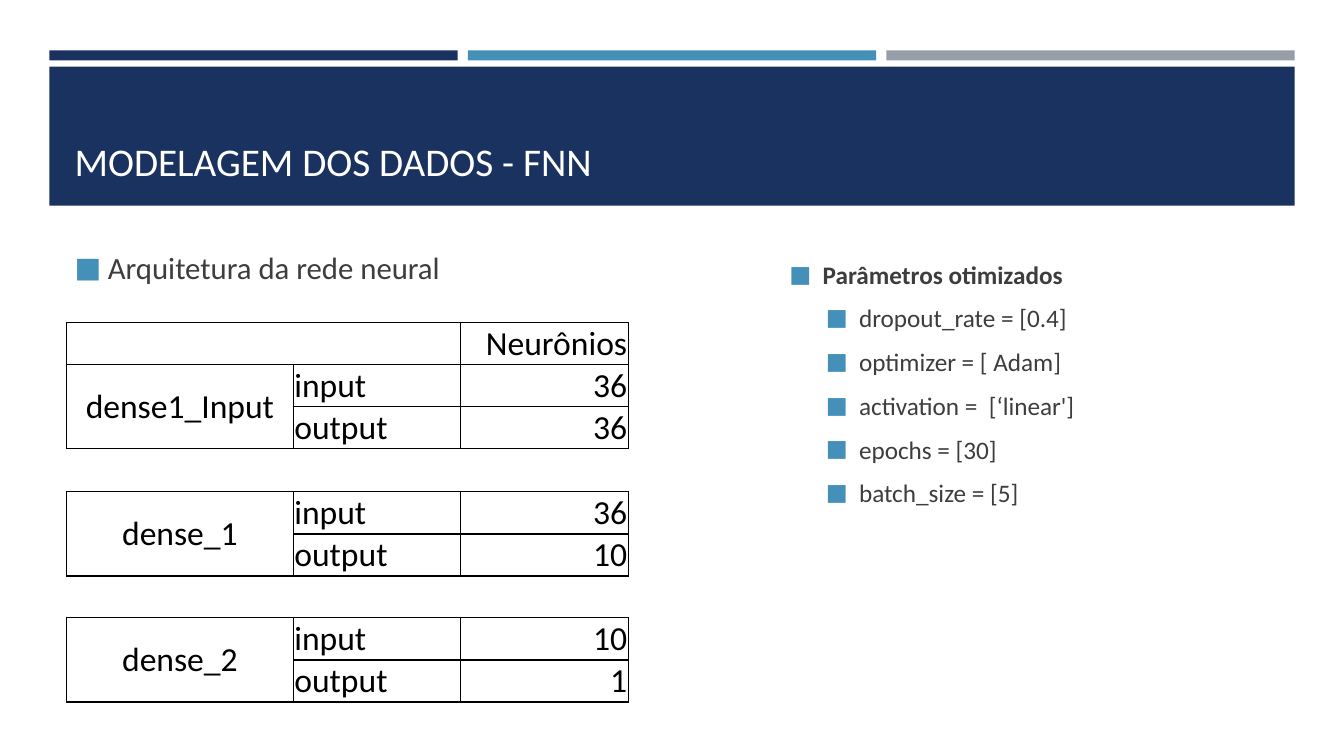
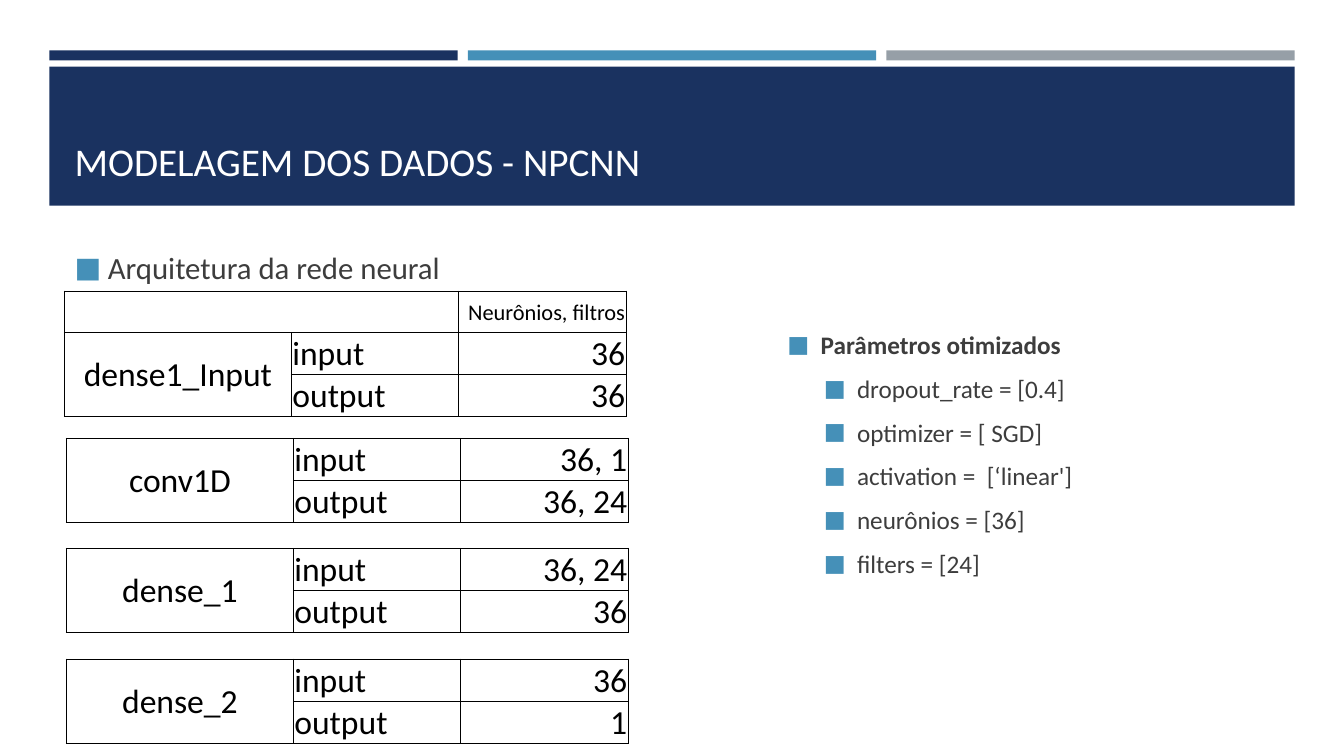
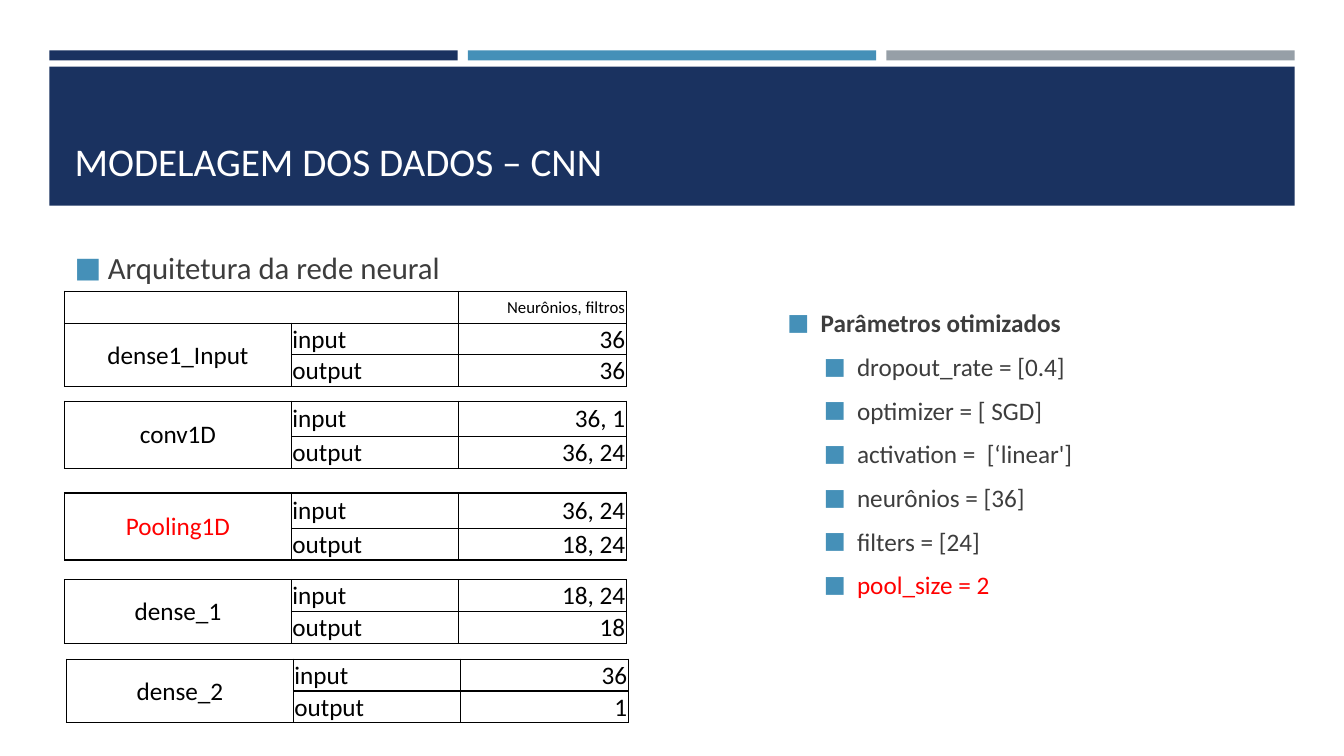
from lxml.etree import SubElement
from pptx import Presentation
from pptx.dml.color import RGBColor
from pptx.enum.shapes import MSO_SHAPE
from pptx.enum.text import MSO_ANCHOR, MSO_AUTO_SIZE, PP_ALIGN
from pptx.oxml.ns import qn
from pptx.util import Inches, Pt

FONT = "Calibri"
COLORS = {
    "navy": "1A3260",
    "blue": "4590B8",
    "gray": "969FA7",
    "white": "FFFFFF",
    "black": "000000",
    "text": "3D3D3D",
    "red": "FF0000",
}
BAND_COLORS = ("navy", "blue", "gray")
BAND_LEFT, BAND_WIDTH, BAND_STEP = 0.49, 4.05, 4.15
COLUMN_WIDTHS = (2.25, 1.66, 1.66)
ROW_HEIGHTS = {24: 0.41, 18: 0.31}
BULLET_INDENTS = (0.33, 0.69)
PLACEHOLDER_BOXES = {
    0: ((0.64, 0.8, 12.06, 1.08), MSO_ANCHOR.BOTTOM),
    1: ((0.64, 2.29, 5.93, 0.73), MSO_ANCHOR.MIDDLE),
    2: ((7.71, 3.13, 5.6, 3.7), MSO_ANCHOR.TOP),
}
SUBTITLE = "Arquitetura da rede neural"
PARAMETERS_HEADING = "Parâmetros otimizados"
HIGHLIGHTS = ("Pooling1D", "pool_size = 2")

SLIDES = [
    {
        "title": "MODELAGEM DOS DADOS - FNN",
        "size": 24,
        "header": ("Neurônios", 24),
        "layers": [
            ("dense1_Input", "36", "36", 0.66, 3.2),
            ("dense_1", "36", "10", 0.66, 4.88),
            ("dense_2", "10", "1", 0.66, 6.13),
        ],
        "parameters_at": (7.73, 2.52),
        "parameters": ["dropout_rate = [0.4]", "optimizer = [ Adam]", "activation =  [‘linear']",
                       "epochs = [30]", "batch_size = [5]"],
    },
    {
        "title": "MODELAGEM DOS DADOS - NPCNN",
        "size": 24,
        "header": ("Neurônios, filtros", 16),
        "layers": [
            ("dense1_Input", "36", "36", 0.64, 2.89),
            ("conv1D", "36, 1", "36, 24", 0.66, 4.35),
            ("dense_1", "36, 24", "36", 0.66, 5.44),
            ("dense_2", "36", "1", 0.66, 6.54),
        ],
        "parameters_at": (7.71, 3.22),
        "parameters": ["dropout_rate = [0.4]", "optimizer = [ SGD]", "activation =  [‘linear']",
                       "neurônios = [36]", "filters = [24]"],
    },
    {
        "title": "MODELAGEM DOS DADOS – CNN",
        "size": 18,
        "header": ("Neurônios, filtros", 12),
        "layers": [
            ("dense1_Input", "36", "36", 0.64, 2.89),
            ("conv1D", "36, 1", "36, 24", 0.64, 3.98),
            ("Pooling1D", "36, 24", "18, 24", 0.64, 4.89),
            ("dense_1", "18, 24", "18", 0.64, 5.75),
            ("dense_2", "36", "1", 0.66, 6.54),
        ],
        "parameters_at": (7.71, 3.0),
        "parameters": ["dropout_rate = [0.4]", "optimizer = [ SGD]", "activation =  [‘linear']",
                       "neurônios = [36]", "filters = [24]", "pool_size = 2"],
    },
]


def rgb(name):
    return RGBColor.from_string(COLORS[name])


def place(shape, left, top, width, height):
    shape.left, shape.top = Inches(left), Inches(top)
    shape.width, shape.height = Inches(width), Inches(height)


def add_run(paragraph, text, size, color, bold=False):
    run = paragraph.add_run()
    run.text = text
    run.font.name = FONT
    run.font.size = Pt(size)
    run.font.bold = bold
    run.font.color.rgb = rgb("red" if text in HIGHLIGHTS else color)


def format_layout(layout):
    for placeholder in layout.placeholders:
        index = placeholder.placeholder_format.idx
        if index in PLACEHOLDER_BOXES:
            box, anchor = PLACEHOLDER_BOXES[index]
            place(placeholder, *box)
            frame = placeholder.text_frame
            frame.vertical_anchor = anchor
            frame.auto_size = MSO_AUTO_SIZE.NONE


def add_bands(slide, layout):
    bands = [(BAND_LEFT + i * BAND_STEP, 0.5, BAND_WIDTH, 0.1, color)
             for i, color in enumerate(BAND_COLORS)]
    bands.append((BAND_LEFT, 0.66, 2 * BAND_STEP + BAND_WIDTH, 1.38, "navy"))
    for position, (*box, color) in enumerate(bands):
        band = slide.shapes.add_shape(MSO_SHAPE.RECTANGLE, *map(Inches, box))
        band.shadow.inherit = False
        band.fill.solid()
        band.fill.fore_color.rgb = rgb(color)
        band.line.fill.background()
        layout.shapes.element.insert(2 + position, band.element)


def add_bullets(frame, items):
    for i, (text, size, level, bold) in enumerate(items):
        paragraph = frame.add_paragraph() if i else frame.paragraphs[0]
        paragraph.level = level
        paragraph.space_after = Pt(6)
        if i == 0:
            paragraph.space_before = Pt(0)
        properties = paragraph._p.get_or_add_pPr()
        properties.set("marL", str(Inches(BULLET_INDENTS[level])))
        properties.set("indent", str(-Inches(BULLET_INDENTS[0])))
        bullet_color = SubElement(properties, qn("a:buClr"))
        SubElement(bullet_color, qn("a:srgbClr"), val=COLORS["blue"])
        SubElement(properties, qn("a:buSzPct"), val="92000")
        SubElement(properties, qn("a:buFont"), typeface=FONT)
        SubElement(properties, qn("a:buChar"), char="■")
        add_run(paragraph, text, size, "text", bold)


def format_cell(cell):
    cell.margin_left = cell.margin_right = cell.margin_top = Inches(0.01)
    cell.margin_bottom = 0
    cell.vertical_anchor = MSO_ANCHOR.MIDDLE
    properties = cell._tc.get_or_add_tcPr()
    for side in ("lnL", "lnR", "lnT", "lnB"):
        line = SubElement(properties, qn(f"a:{side}"), w=str(Pt(1)))
        fill = SubElement(line, qn("a:solidFill"))
        SubElement(fill, qn("a:srgbClr"), val=COLORS["black"])
    cell.fill.solid()
    cell.fill.fore_color.rgb = rgb("white")


def add_layer_table(slide, layer, size, header=None):
    name, input_shape, output_shape, left, top = layer
    rows = [((name, size), ("input", size), (input_shape, size)),
            (None, ("output", size), (output_shape, size))]
    if header:
        rows.insert(0, (None, None, header))
    row_height = ROW_HEIGHTS[size]
    frame = slide.shapes.add_table(len(rows), len(COLUMN_WIDTHS), Inches(left), Inches(top),
                                   Inches(sum(COLUMN_WIDTHS)), Inches(row_height * len(rows)))
    table = frame.table
    table.first_row = table.horz_banding = False
    for column, width in zip(table.columns, COLUMN_WIDTHS):
        column.width = Inches(width)
    for row in table.rows:
        row.height = Inches(row_height)
    if size == 18 and not header and name in ("conv1D", "Pooling1D"):
        table.rows[0].height = Inches(0.35)
    alignments = (PP_ALIGN.CENTER, PP_ALIGN.LEFT, PP_ALIGN.RIGHT)
    for r, row in enumerate(rows):
        for c, content in enumerate(row):
            cell = table.cell(r, c)
            format_cell(cell)
            if content:
                paragraph = cell.text_frame.paragraphs[0]
                paragraph.alignment = alignments[c]
                add_run(paragraph, *content, "black")
    if header:
        table.cell(0, 0).merge(table.cell(0, 1))
    table.cell(len(rows) - 2, 0).merge(table.cell(len(rows) - 1, 0))


def fill_slide(slide, content):
    title, subtitle, parameters = slide.placeholders
    paragraph = title.text_frame.paragraphs[0]
    paragraph.alignment = PP_ALIGN.LEFT
    add_run(paragraph, content["title"], 28, "white")
    add_bullets(subtitle.text_frame, [(SUBTITLE, 22, 0, False)])
    place(parameters, *content["parameters_at"], *PLACEHOLDER_BOXES[2][0][2:])
    add_bullets(parameters.text_frame, [(PARAMETERS_HEADING, 18, 0, True)]
                + [(text, 18, 1, False) for text in content["parameters"]])
    for i, layer in enumerate(content["layers"]):
        add_layer_table(slide, layer, content["size"], None if i else content["header"])


def main():
    presentation = Presentation()
    presentation.slide_width, presentation.slide_height = Inches(13.33), Inches(7.5)
    layout = presentation.slide_layouts.get_by_name("Two Content")
    format_layout(layout)
    slides = [presentation.slides.add_slide(layout) for _ in SLIDES]
    add_bands(slides[0], layout)
    for slide, content in zip(slides, SLIDES):
        fill_slide(slide, content)
    presentation.save("out.pptx")


if __name__ == "__main__":
    main()
